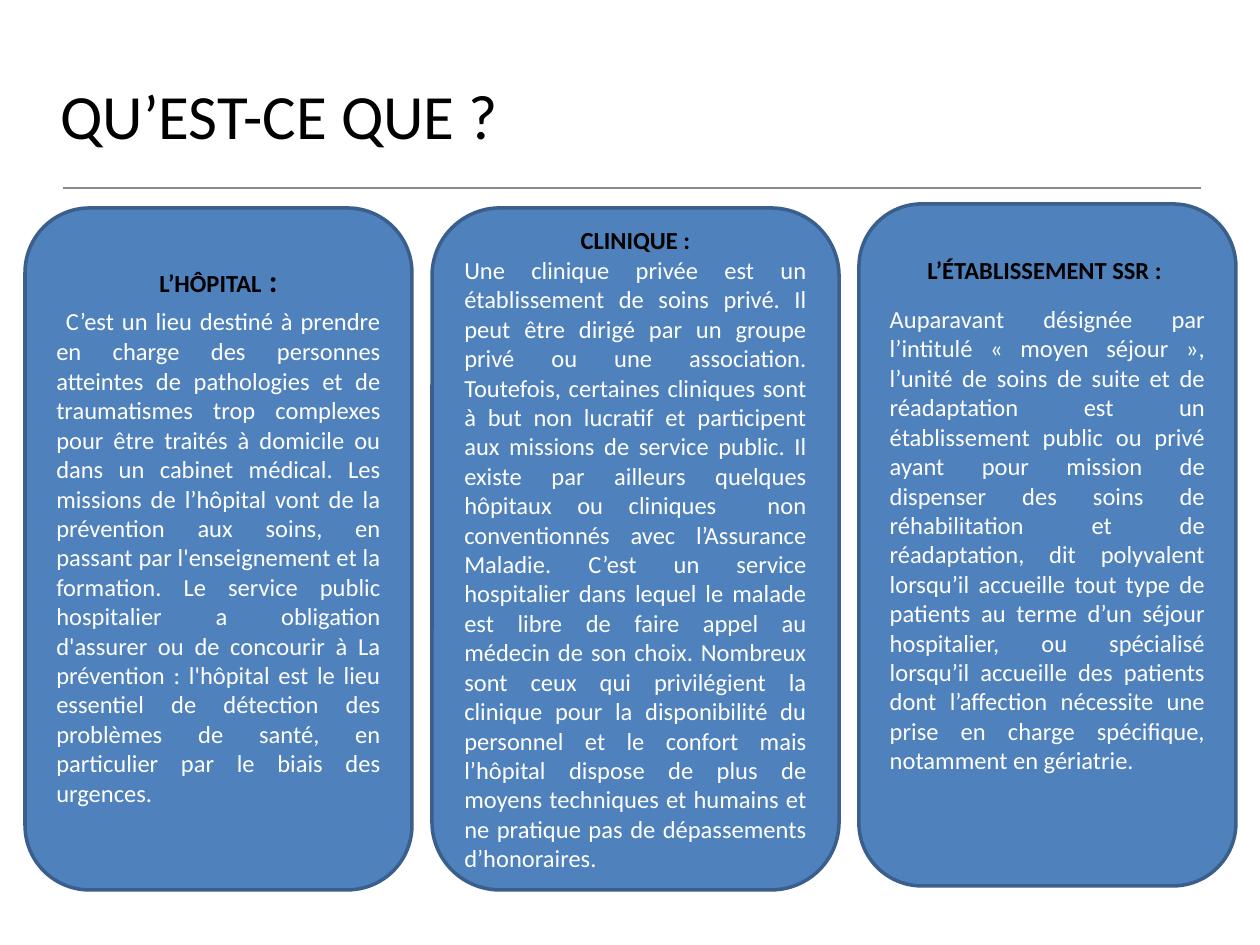
"""Build a slide defining three kinds of care facility."""
import pptx
import pptx.util
import pptx.dml.color
import pptx.enum.shapes
import pptx.enum.text

PX = 914400 / 126
HUES = {"card": "4F81BD", "edge": "3A5F8C", "rule": "898989",
        "dark": "000000", "light": "FFFFFF"}
ALIGN = pptx.enum.text.PP_ALIGN


def px(*nums):
    return [pptx.util.Emu(round(n * PX)) for n in nums]


def write(para, parts, hue, bold=False):
    for text, size in parts:
        run = para.add_run()
        run.text = text
        run.font.name = "Calibri"
        run.font.size = pptx.util.Pt(size)
        run.font.bold = bold
        run.font.color.rgb = pptx.dml.color.RGBColor.from_string(HUES[hue])


deck = pptx.Presentation()
deck.slide_width, deck.slide_height = px(1260, 945)
slide = deck.slides.add_slide(deck.slide_layouts[6])
shapes = slide.shapes

rule = shapes.add_connector(pptx.enum.shapes.MSO_CONNECTOR.STRAIGHT, *px(63, 188, 1201, 188))
rule.line.color.rgb = pptx.dml.color.RGBColor.from_string(HUES["rule"])
rule.line.width = pptx.util.Pt(1)
rule._element.spPr.append(pptx.oxml.parse_xml(
    '<a:effectLst xmlns:a="http://schemas.openxmlformats.org/drawingml/2006/main"/>'))

title = shapes.add_textbox(*px(48, 55, 610, 103)).text_frame
title.word_wrap = True
title.vertical_anchor = pptx.enum.text.MSO_ANCHOR.BOTTOM
write(title.paragraphs[0], [("QU’EST-CE QUE ?", 36)], "dark")

# left, top, width, gap below heading in points, bottom inset, heading, body
cards = [
    (25, 208, 387, 0, 36, [("L’HÔPITAL", 14), (" :", 18)], [
        (" ", 18),
        ("C’est un lieu destiné à prendre en charge des personnes atteintes de "
         "pathologies et de traumatismes trop complexes pour être traités à domicile "
         "ou dans un cabinet médical. Les missions de l’hôpital vont de la prévention "
         "aux soins, en passant par l'enseignement et la formation. Le service public "
         "hospitalier a obligation d'assurer ou de concourir à La prévention : "
         "l'hôpital est le lieu essentiel de détection des problèmes de santé, en "
         "particulier par le biais des urgences.", 14)]),
    (432, 208, 407, 0, 6, [("CLINIQUE :", 14)], [
        ("Une clinique privée est un établissement de soins privé. Il peut être "
         "dirigé par un groupe privé ou une association. Toutefois, certaines "
         "cliniques sont à but non lucratif et participent aux missions de service "
         "public. Il existe par ailleurs quelques hôpitaux ou cliniques  non "
         "conventionnés avec l’Assurance Maladie. C’est un service hospitalier dans "
         "lequel le malade est libre de faire appel au médecin de son choix. Nombreux "
         "sont ceux qui privilégient la clinique pour la disponibilité du personnel "
         "et le confort mais l’hôpital dispose de plus de moyens techniques et "
         "humains et ne pratique pas de dépassements d’honoraires.", 14)]),
    (859, 204, 377, 11, 66, [("L’ÉTABLISSEMENT SSR : ", 14)], [
        ("Auparavant désignée par l’intitulé « moyen séjour », l’unité de soins de "
         "suite et de réadaptation est un établissement public ou privé ayant pour "
         "mission de dispenser des soins de réhabilitation et de réadaptation, dit "
         "polyvalent lorsqu’il accueille tout type de patients au terme d’un séjour "
         "hospitalier, ou spécialisé lorsqu’il accueille des patients dont "
         "l’affection nécessite une prise en charge spécifique, notamment en "
         "gériatrie.", 14)]),
]

for left, top, width, gap, inset, head, body in cards:
    card = shapes.add_shape(pptx.enum.shapes.MSO_SHAPE.ROUNDED_RECTANGLE,
                            *px(left, top, width, 682))
    card.shadow.inherit = False
    card.fill.solid()
    card.fill.fore_color.rgb = pptx.dml.color.RGBColor.from_string(HUES["card"])
    card.line.color.rgb = pptx.dml.color.RGBColor.from_string(HUES["edge"])
    card.line.width = pptx.util.Pt(2)
    frame = card.text_frame
    frame.word_wrap = True
    frame.vertical_anchor = pptx.enum.text.MSO_ANCHOR.MIDDLE
    frame.margin_bottom = px(inset)[0]
    para = frame.paragraphs[0]
    para.alignment = ALIGN.CENTER
    para.space_after = pptx.util.Pt(gap)
    write(para, head, "dark", True)
    para = frame.add_paragraph()
    para.alignment = ALIGN.JUSTIFY
    write(para, body, "light")

deck.save("out.pptx")
